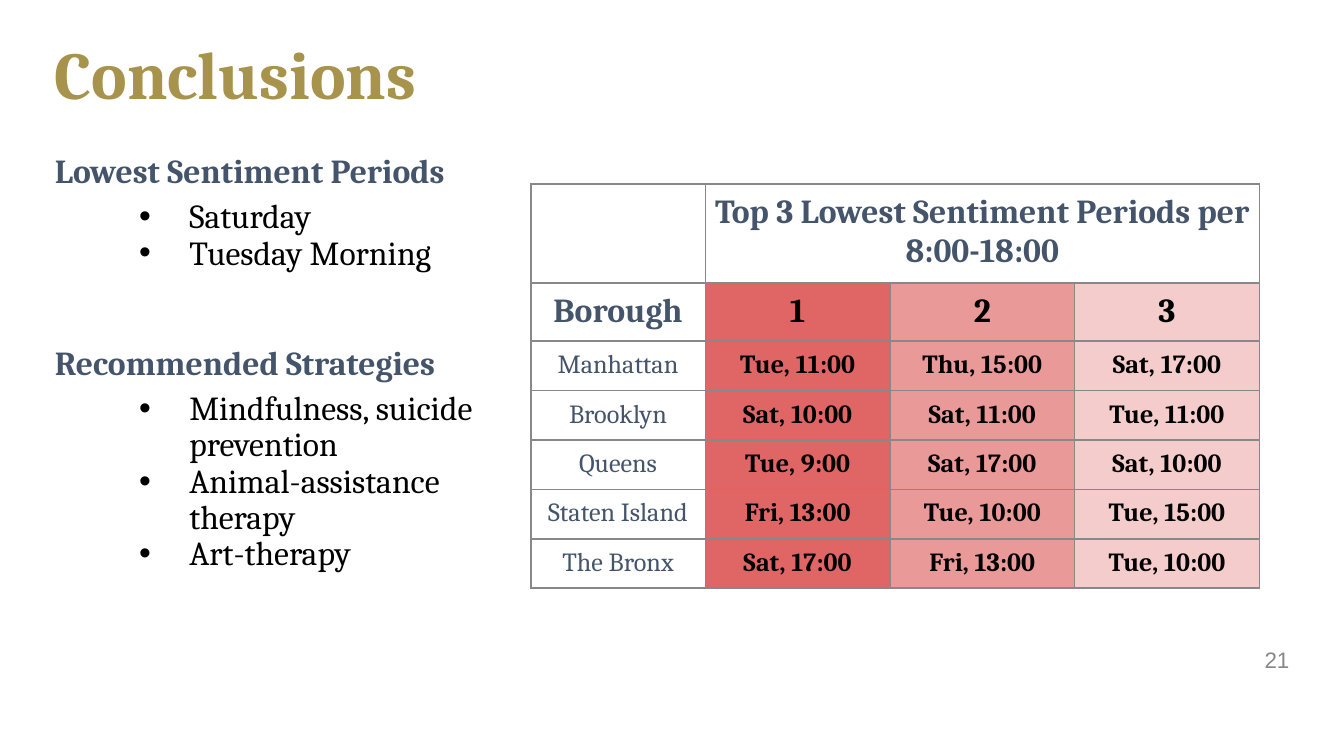
from lxml import etree
from pptx import Presentation
from pptx import util as u
from pptx.dml.color import RGBColor
from pptx.enum import text
from pptx.oxml import ns

COLORS = {
    "gold": "A7934B",
    "slate": "44546A",
    "black": "000000",
    "gray": "888888",
    "first": "E06666",
    "second": "EA9999",
    "third": "F4CCCC",
}
SERIF = "Cambria"
SECTIONS = {
    "Lowest Sentiment Periods": ["Saturday", "Tuesday Morning"],
    "Recommended Strategies": [
        "Mindfulness, suicide prevention",
        "Animal-assistance therapy",
        "Art-therapy",
    ],
}
TABLE_TITLE = "Top 3 Lowest Sentiment Periods per 8:00-18:00"
PERIODS = [
    ["Borough", "1", "2", "3"],
    ["Manhattan", "Tue, 11:00", "Thu, 15:00", "Sat, 17:00"],
    ["Brooklyn", "Sat, 10:00", "Sat, 11:00", "Tue, 11:00"],
    ["Queens", "Tue, 9:00", "Sat, 17:00", "Sat, 10:00"],
    ["Staten Island", "Fri, 13:00", "Tue, 10:00", "Tue, 15:00"],
    ["The Bronx", "Sat, 17:00", "Fri, 13:00", "Tue, 10:00"],
]


def rgb(color):
    return RGBColor.from_string(COLORS[color])


def style_font(para, size, color, bold=False, name=SERIF):
    para.font.name = name
    para.font.size = u.Pt(size)
    para.font.bold = bold
    para.font.color.rgb = rgb(color)


def add_text_frame(page, box, anchor):
    frame = page.shapes.add_textbox(*map(u.Cm, box)).text_frame
    frame.word_wrap = True
    frame.vertical_anchor = anchor
    return frame


def add_line(page, box, words, size, color, bold, name, align):
    frame = add_text_frame(page, box, text.MSO_ANCHOR.MIDDLE)
    para = frame.paragraphs[0]
    para.text = words
    para.alignment = align
    para.line_spacing = 0.9
    style_font(para, size, color, bold, name)


def add_bullet(para):
    props = para._p.get_or_add_pPr()
    props.set("marL", str(u.Cm(2.54)))
    props.set("indent", str(-u.Cm(0.95)))
    color = etree.SubElement(props, ns.qn("a:buClr"))
    etree.SubElement(color, ns.qn("a:srgbClr"), val=COLORS["black"])
    etree.SubElement(props, ns.qn("a:buFont"), typeface="Arial")
    etree.SubElement(props, ns.qn("a:buChar"), char="•")


def add_sections(page, box):
    frame = add_text_frame(page, box, text.MSO_ANCHOR.TOP)
    for number, (heading, items) in enumerate(SECTIONS.items()):
        para = frame.add_paragraph() if number else frame.paragraphs[0]
        para.text = heading
        para.line_spacing = 0.9
        para.space_before = u.Pt(39.5 if number else 10)
        style_font(para, 18, "slate", True)
        for index, item in enumerate(items):
            para = frame.add_paragraph()
            para.text = item
            para.level = 1
            para.line_spacing = 0.9
            para.space_before = u.Pt(0 if index else 5)
            style_font(para, 18, "black")
            add_bullet(para)


def add_borders(cell):
    props = cell._tc.get_or_add_tcPr()
    for side in ("lnL", "lnR", "lnT", "lnB"):
        line = etree.SubElement(props, ns.qn(f"a:{side}"), w=str(u.Pt(1)))
        fill = etree.SubElement(line, ns.qn("a:solidFill"))
        etree.SubElement(fill, ns.qn("a:srgbClr"), val=COLORS["gray"])


def fill_cell(cell, words, size, color, bold):
    para = cell.text_frame.paragraphs[0]
    para.text = words
    para.alignment = text.PP_ALIGN.CENTER
    style_font(para, size, color, bold)


def add_period_table(page, box):
    left, top, width, height = box
    name_width, title_height, header_height = 3.3, 1.82, 1.09
    period_width = (width - name_width) / 3
    row_height = (height - title_height - header_height) / (len(PERIODS) - 1)
    table = page.shapes.add_table(len(PERIODS) + 1, 4, *map(u.Cm, box)).table
    table.first_row = table.horz_banding = False
    for index, column in enumerate(table.columns):
        column.width = u.Cm(period_width if index else name_width)
    for index, row in enumerate(table.rows):
        heights = (title_height, header_height)
        row.height = u.Cm(heights[index] if index < 2 else row_height)
    for cell in table.iter_cells():
        cell.margin_left = cell.margin_right = u.Cm(0.17)
        cell.margin_top = cell.margin_bottom = u.Cm(0.17)
        add_borders(cell)
        cell.fill.background()
    table.cell(0, 1).merge(table.cell(0, 3))
    fill_cell(table.cell(0, 1), TABLE_TITLE, 18, "slate", True)
    ranks = (None, "first", "second", "third")
    for row, values in enumerate(PERIODS, start=1):
        is_header = row == 1
        for column, value in enumerate(values):
            cell = table.cell(row, column)
            color = "black" if column else "slate"
            fill_cell(cell, value, 18 if is_header else 14, color,
                      is_header or column > 0)
            if column:
                cell.fill.solid()
                cell.fill.fore_color.rgb = rgb(ranks[column])


def main():
    deck = Presentation()
    deck.slide_width, deck.slide_height = u.Cm(25.4), u.Cm(14.29)
    page = deck.slides.add_slide(deck.slide_layouts[6])
    add_line(page, (0.79, 0.41, 23.83, 2.11), "Conclusions", 36, "gold", True,
             SERIF, text.PP_ALIGN.LEFT)
    add_period_table(page, (10.03, 3.48, 13.77, 7.51))
    add_sections(page, (0.79, 2.79, 9.68, 9.58))
    add_line(page, (18.9, 12.12, 5.72, 0.76), "21", 12, "gray", False,
             "Arial", text.PP_ALIGN.RIGHT)
    deck.save("out.pptx")


if __name__ == "__main__":
    main()
